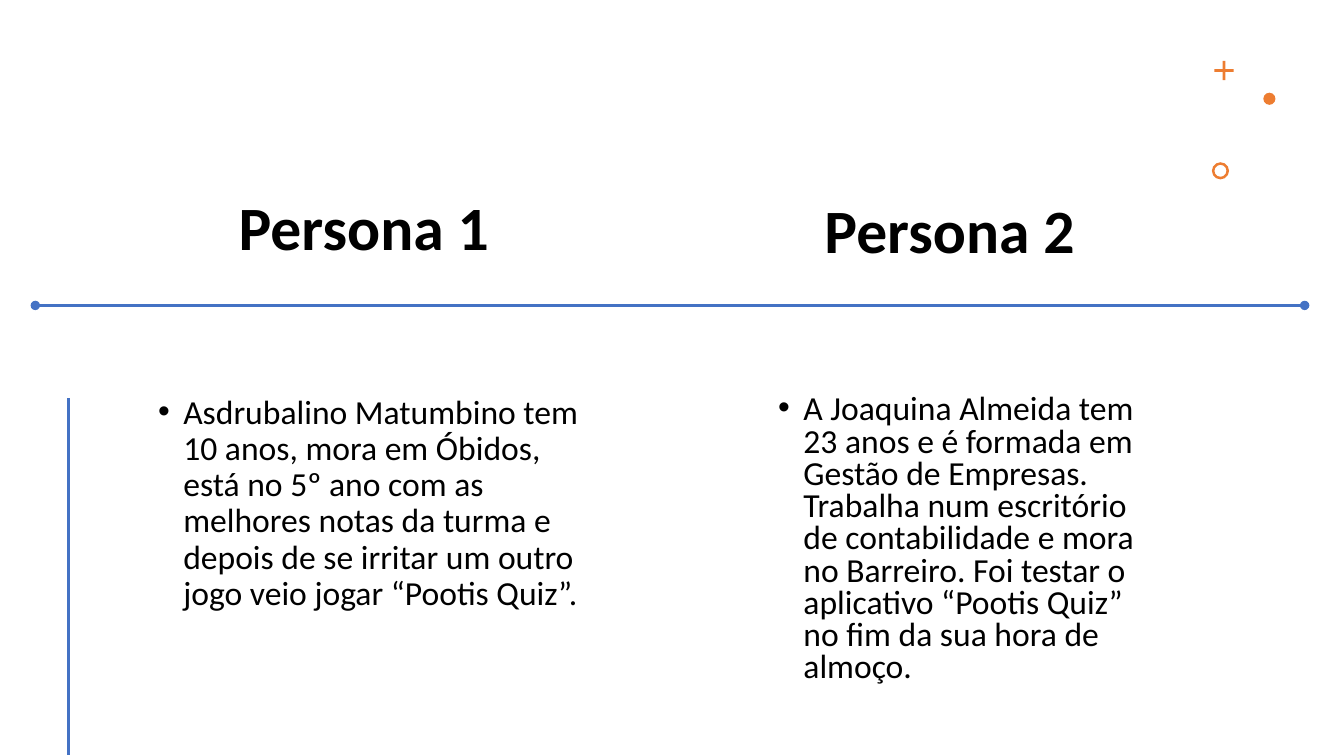
from lxml import etree
from pptx import Presentation
from pptx import util as u
from pptx.dml.color import RGBColor
from pptx.enum import shapes, text
from pptx.oxml.ns import qn

PX = 9144  # 100 px to the inch
THEME = {
    "text": RGBColor.from_string("000000"),
    "accent": RGBColor.from_string("ED7D31"),
    "rule": RGBColor.from_string("4472C4"),
    "font": "Calibri",
    "heading": u.Pt(44),
    "body": u.Pt(24),
}


def px(*lengths):
    return [u.Emu(n * PX) for n in lengths]


def fill_text(sp, box, words, frame, para, font):
    """Place a shape, write one paragraph in it and format both."""
    sp.left, sp.top, sp.width, sp.height = px(*box)
    tf = sp.text_frame
    tf.text = words
    p = tf.paragraphs[0]
    if "level_indent" in para:
        pPr = p._p.get_or_add_pPr()
        indent = para["level_indent"] * PX
        pPr.set("marL", str(indent))
        pPr.set("indent", str(-indent))
        etree.SubElement(pPr, qn("a:buFont")).set("typeface", "Arial")
        etree.SubElement(pPr, qn("a:buChar")).set("char", "•")
    p.alignment = para["alignment"]
    p.line_spacing = para["line_spacing"]
    r = p.runs[0]
    r.font.color.rgb = THEME["text"]
    frame = {"word_wrap": True, "auto_size": text.MSO_AUTO_SIZE.NONE, **frame}
    for target, values in ((tf, frame), (r.font, {"name": THEME["font"], **font})):
        for key, value in values.items():
            setattr(target, key, value)


prs = Presentation()
prs.slide_width, prs.slide_height = px(1333, 750)
s = prs.slides.add_slide(prs.slide_layouts[5])

# Corner ornaments
ornaments = [
    (shapes.MSO_SHAPE.MATH_PLUS, (1201, 57, 26, 26), 0.1),
    (shapes.MSO_SHAPE.OVAL, (1253, 92, 12, 12), None),
    (shapes.MSO_SHAPE.DONUT, (1202, 161, 17, 17), 0.15),
]
for kind, box, thickness in ornaments:
    sp = s.shapes.add_shape(kind, *px(*box))
    if thickness:
        sp.adjustments[0] = thickness
    sp.shadow.inherit = False
    sp.fill.solid()
    sp.fill.fore_color.rgb = THEME["accent"]
    sp.line.fill.background()

# Headings
headings = [
    (s.shapes.title, (170, 164, 382, 103), "Persona 1"),
    (s.shapes.add_textbox(0, 0, 0, 0), (747, 167, 390, 103), "Persona 2"),
]
for sp, box, words in headings:
    fill_text(sp, box, words,
              {"vertical_anchor": text.MSO_ANCHOR.BOTTOM},
              {"alignment": text.PP_ALIGN.CENTER, "line_spacing": 0.9},
              {"size": THEME["heading"], "bold": True})

# Descriptions
descriptions = [
    ((147, 387, 440, 337), 0.9,
     "Asdrubalino Matumbino tem 10 anos, mora em Óbidos, está no 5º ano com as "
     "melhores notas da turma e depois de se irritar um outro jogo veio jogar "
     "“Pootis Quiz”."),
    ((762, 387, 398, 313), 0.8,
     "A Joaquina Almeida tem 23 anos e é formada em Gestão de Empresas. Trabalha "
     "num escritório de contabilidade e mora no Barreiro. Foi testar o aplicativo "
     "“Pootis Quiz” no fim da sua hora de almoço."),
]
for box, spacing, words in descriptions:
    fill_text(s.shapes.add_textbox(0, 0, 0, 0), box, words,
              {"vertical_anchor": text.MSO_ANCHOR.TOP},
              {"alignment": text.PP_ALIGN.LEFT, "line_spacing": spacing,
               "level_indent": 25},
              {"size": THEME["body"]})

# Rules
rules = [
    ((68, 395, 68, 749), 2, False),
    ((35, 303, 1294, 303), 2.25, True),
]
for ends, width, dotted_ends in rules:
    rule = s.shapes.add_connector(shapes.MSO_CONNECTOR.STRAIGHT, *px(*ends))
    rule.line.color.rgb = THEME["rule"]
    rule.line.width = u.Pt(width)
    if dotted_ends:
        for end in ("a:headEnd", "a:tailEnd"):
            etree.SubElement(rule.line._get_or_add_ln(), qn(end)).set("type", "oval")
    etree.SubElement(rule._element.spPr, qn("a:effectLst"))

prs.save("out.pptx")
